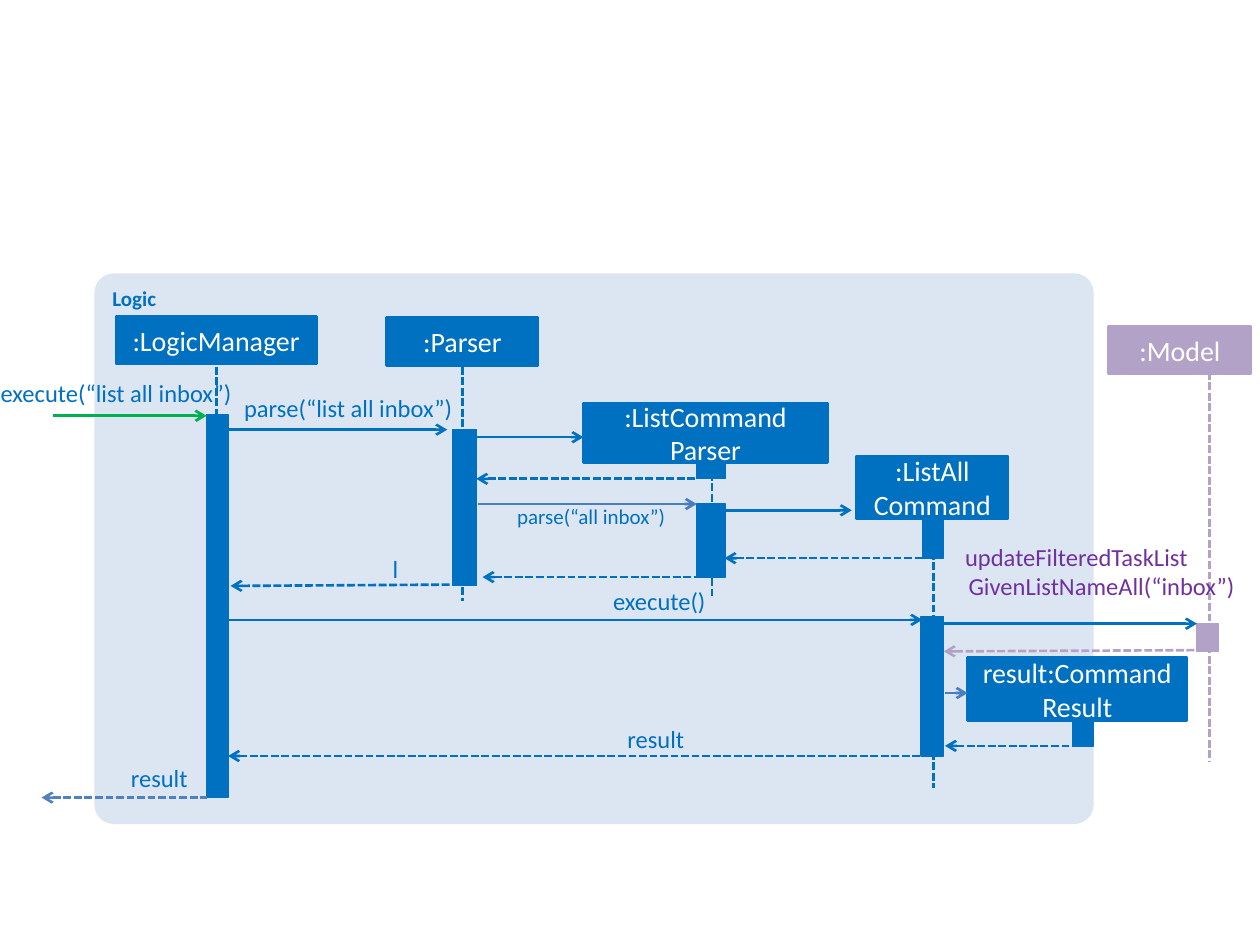
from dataclasses import dataclass

from lxml.etree import SubElement
from pptx import Presentation
from pptx.dml.color import RGBColor
from pptx.enum.dml import MSO_LINE
from pptx.enum.shapes import MSO_CONNECTOR, MSO_SHAPE
from pptx.enum.text import MSO_ANCHOR, MSO_AUTO_SIZE, PP_ALIGN
from pptx.oxml.ns import qn
from pptx.util import Inches, Pt

COLUMNS, ROWS = 100, 75
COLORS = {
    "logic": "0070C0", "panel": "DCE6F2", "model": "B3A2C7", "call": "7030A0",
    "entry": "00B050", "exit": "4F81BD", "step": "4B7EBC", "white": "FFFFFF",
}


@dataclass
class Box:
    """An area measured in grid columns and rows."""
    left: float
    top: float
    width: float
    height: float

    def within(self, left, top, width, height):
        """Return a box placed relative to this one."""
        return Box(self.left + left, self.top + top, width, height)

    def lengths(self):
        """Return left, top, width and height as slide lengths."""
        return [Inches(value / 10) for value in
                (self.left, self.top, self.width, self.height)]


def color(name):
    """Look up a colour of the palette."""
    return RGBColor.from_string(COLORS[name])


def write(frame, text, size, ink, align, bold=None):
    """Fill a text frame with evenly styled paragraphs."""
    frame.word_wrap = True
    frame.text = text
    for para in frame.paragraphs:
        para.alignment = align
        para.font.name = "Calibri"
        para.font.size = Pt(size)
        para.font.bold = bold
        para.font.color.rgb = color(ink)


def add_block(page, box, fill, edge=None, preset=MSO_SHAPE.RECTANGLE):
    """Add a filled shape, with an edge of the same colour if a width is given."""
    shape = page.shapes.add_shape(preset, *box.lengths())
    shape.shadow.inherit = False
    shape.fill.solid()
    shape.fill.fore_color.rgb = color(fill)
    if edge:
        shape.line.color.rgb = color(fill)
        shape.line.width = Pt(edge)
    else:
        shape.line.fill.background()
    return shape


def add_line(page, box, ink, dashed=False, arrow=None):
    """Draw a line across a box, with an arrow at headEnd or tailEnd."""
    left, top, width, height = box.lengths()
    connector = page.shapes.add_connector(
        MSO_CONNECTOR.STRAIGHT, left, top, left + width, top + height)
    connector.line.color.rgb = color(ink)
    connector.line.width = Pt(1.5)
    if dashed:
        connector.line.dash_style = MSO_LINE.SQUARE_DOT
    properties = connector.element.spPr
    if arrow:
        SubElement(properties.find(qn("a:ln")), qn(f"a:{arrow}"), type="arrow")
    SubElement(properties, qn("a:effectLst"))


def add_panel(page, box, title):
    """Draw the rounded component area with its title."""
    panel = add_block(page, box, "panel", preset=MSO_SHAPE.ROUNDED_RECTANGLE)
    panel.adjustments[0] = 0.035
    panel.text_frame.vertical_anchor = MSO_ANCHOR.TOP
    write(panel.text_frame, title, 12, "logic", PP_ALIGN.LEFT, True)


def add_participant(page, box, name, bars, lifeline=None, ink="logic"):
    """Draw a named head, its lifeline (column, top, length) and activation bars."""
    head = add_block(page, box, ink, 1.5)
    head.text_frame.vertical_anchor = MSO_ANCHOR.MIDDLE
    write(head.text_frame, name, 16, "white", PP_ALIGN.CENTER)
    if lifeline:
        column, top, length = lifeline
        add_line(page, box.within(column, top, 0, length), ink, dashed=True)
    for bar in bars:
        add_block(page, box.within(*bar), ink, 0.75)


def add_call(page, box, start, end, row, ink="logic"):
    """Draw a solid arrow to the right."""
    add_line(page, box.within(start, row, end - start, 0), ink, arrow="tailEnd")


def add_reply(page, box, start, end, row, ink="logic", rise=0):
    """Draw a dashed arrow back to the left."""
    add_line(page, box.within(start, row, end - start, -rise), ink, True, "headEnd")


def add_label(page, box, text, size=14, ink="logic"):
    """Write a right-aligned message label without insets."""
    label = page.shapes.add_textbox(*box.lengths())
    frame = label.text_frame
    frame.margin_left = frame.margin_right = frame.margin_top = frame.margin_bottom = 0
    write(frame, text, size, ink, PP_ALIGN.RIGHT)
    frame.auto_size = MSO_AUTO_SIZE.SHAPE_TO_FIT_TEXT
    return label


def add_sequence(page, box):
    """Draw the whole sequence diagram inside a box."""
    add_panel(page, box.within(7.5, 21.7, 79.3, 43.7), "Logic")

    # Bars and lifelines are measured from the corner of their head
    participants = [
        ((9.2, 25.1, 15.9, 3.8), ":LogicManager", [(7.2, 7.8, 1.7, 30.4)], (8, 4, 28.4)),
        ((30.7, 25.2, 12, 3.8), ":Parser", [(5.2, 8.9, 1.9, 12.4)], (6, 3.9, 18.6)),
        ((46.3, 32, 19.4, 4.7), ":ListCommand\nParser",
         [(9, 4.7, 2.3, 1.3), (9, 8, 2.3, 5.8)], (10.2, 4.7, 10.8)),
        ((68, 36.2, 12, 5), ":ListAll\vCommand",
         [(5.2, 5.1, 1.7, 3), (5.1, 12.7, 1.8, 11.1)], (6.1, 5.1, 21.2)),
        ((88, 25.9, 11.3, 3.8), ":Model", [(7, 23.6, 1.7, 2.2)], (8, 3.6, 31), "model"),
        ((76.8, 52.2, 17.4, 5), "result:Command Result", [(8.3, 5.1, 1.7, 1.9)]),
    ]
    for head, *details in participants:
        add_participant(page, box.within(*head), *details)

    calls = [
        (4.2, 16.4, 33, "entry"), (18.1, 35.5, 34.1), (37.3, 46.3, 34.7),
        (37.9, 55.3, 40, "step"), (57.5, 67.6, 40.5), (18.1, 73.2, 49.2),
        (74.9, 95, 49.5), (75, 76.8, 55, "step"),
    ]
    for call in calls:
        add_call(page, box, *call)

    replies = [
        (37.8, 55.3, 38), (57.5, 73.8, 44.3), (38.3, 56.5, 45.8),
        (18.3, 35.7, 46.5, "logic", 0.1), (74.9, 95, 51.7, "model", 0.1),
        (75, 85.6, 59.2), (18.1, 73.3, 60), (3.3, 16.4, 63.3, "exit"),
    ]
    for reply in replies:
        add_reply(page, box, *reply)

    labels = [
        ((0, 30, 18.4, 2.4), "execute(“list all inbox”)"),
        ((19.1, 31.2, 16.8, 2.4), "parse(“list all inbox”)"),
        ((40.4, 40, 12.4, 2), "parse(“all inbox”)", 12),
        ((29.2, 44, 2.4, 2.4), "l"),
        ((46.6, 46.5, 9.4, 2.4), "execute()"),
        ((47.5, 57.5, 6.8, 2.4), "result"),
        ((6.6, 60.6, 8.3, 2.4), "result"),
    ]
    for place, *wording in labels:
        add_label(page, box.within(*place), *wording)
    update = add_label(page, box.within(76.6, 43, 21.4, 4.7),
                       "updateFilteredTaskList\nGivenListNameAll(“inbox”)", ink="call")
    update.text_frame.paragraphs[0].alignment = PP_ALIGN.LEFT


deck = Presentation()
deck.slide_width, deck.slide_height = Inches(COLUMNS / 10), Inches(ROWS / 10)
slide = deck.slides.add_slide(deck.slide_layouts[6])
add_sequence(slide, Box(0, 0, COLUMNS, ROWS))
deck.save("out.pptx")
